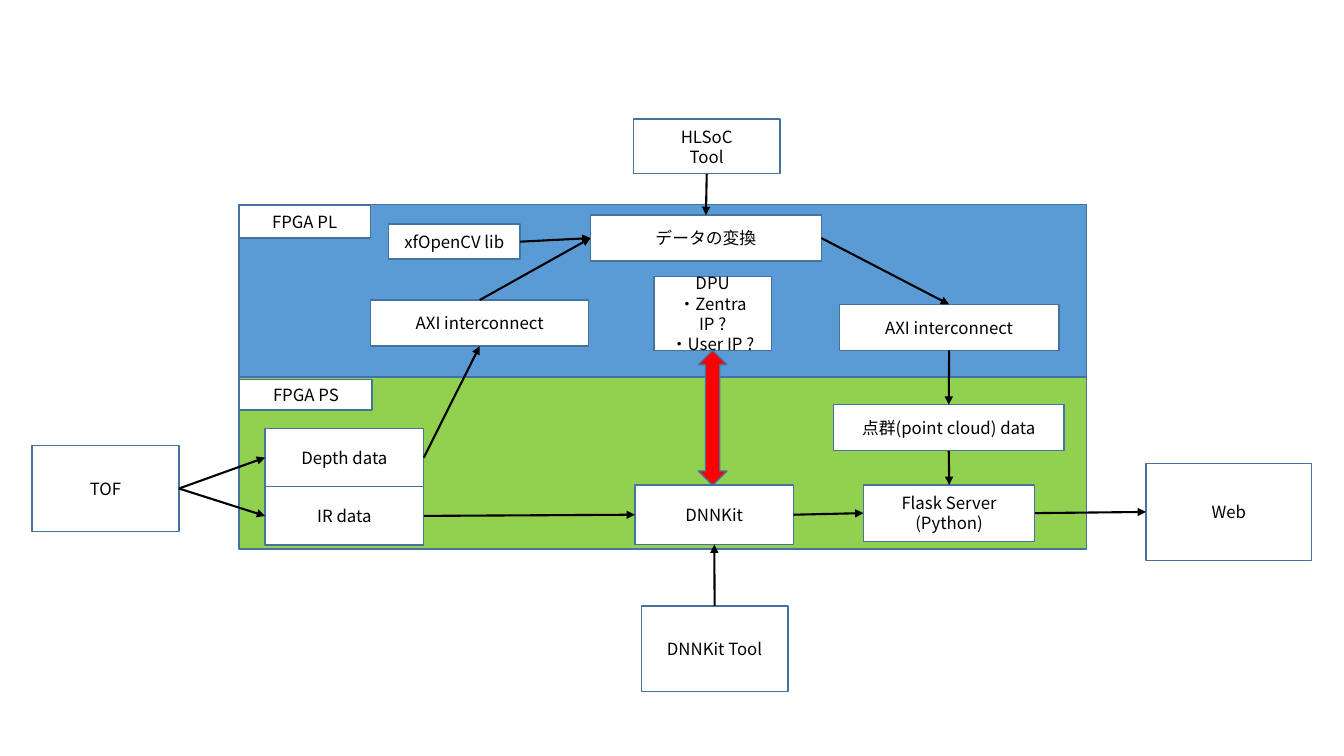
from typing import NamedTuple

from lxml.etree import SubElement
from pptx import Presentation
from pptx.dml.color import RGBColor
from pptx.enum.shapes import MSO_CONNECTOR, MSO_SHAPE
from pptx.enum.text import MSO_ANCHOR, PP_ALIGN
from pptx.oxml.ns import qn
from pptx.shapes.autoshape import Shape
from pptx.slide import Slide
from pptx.util import Cm, Pt

FONT = "Noto Sans CJK JP"
WHITE = RGBColor(0xFF, 0xFF, 0xFF)
BLACK = RGBColor(0x00, 0x00, 0x00)
BLUE = RGBColor(0x5B, 0x9B, 0xD5)
GREEN = RGBColor(0x92, 0xD0, 0x50)
RED = RGBColor(0xFF, 0x00, 0x00)
OUTLINE = RGBColor(0x43, 0x73, 0x9E)

# Connection sites of a rectangle
TOP, LEFT, BOTTOM, RIGHT = range(4)


class Box(NamedTuple):
    """A shape on the slide; lengths in centimetres."""
    left: float
    top: float
    width: float
    height: float
    text: str = ""
    fill: RGBColor = WHITE
    kind: MSO_SHAPE = MSO_SHAPE.RECTANGLE


class Arrow(NamedTuple):
    start: str
    start_site: int
    end: str
    end_site: int


BOXES = {
    "ps": Box(6.02, 9.5, 21.36, 4.34, fill=GREEN),
    "pl": Box(6.02, 5.16, 21.36, 4.34, fill=BLUE),
    "pl_label": Box(6.02, 5.18, 3.32, 0.82, "FPGA PL"),
    "ps_label": Box(6.04, 9.56, 3.34, 0.77, "FPGA PS"),
    "convert": Box(14.88, 5.42, 5.82, 1.16, "データの変換"),
    "opencv": Box(9.79, 5.65, 3.32, 0.88, "xfOpenCV lib"),
    "dpu": Box(16.48, 6.97, 2.96, 1.86, "DPU\n・Zentra IP ?\n・User IP ?"),
    "axi_in": Box(9.34, 7.56, 5.5, 1.16, "AXI interconnect"),
    "axi_out": Box(21.15, 7.67, 5.54, 1.16, "AXI interconnect"),
    "depth": Box(6.68, 10.8, 4, 1.46, "Depth data"),
    "ir": Box(6.68, 12.26, 4, 1.48, "IR data"),
    "cloud": Box(21, 10.2, 5.82, 1.16, "点群(point cloud) data"),
    "dnn": Box(16, 12.22, 4, 1.5, "DNNKit"),
    "flask": Box(21.76, 12.22, 4.32, 1.42, "Flask Server\n(Python)"),
    "tof": Box(0.81, 11.23, 3.7, 2.16, "TOF"),
    "web": Box(28.88, 11.68, 4.18, 2.44, "Web"),
    "soc_tool": Box(15.96, 3, 3.7, 1.38, "HLSoC\nTool"),
    "dnn_tool": Box(16.16, 15.27, 3.7, 2.16, "DNNKit Tool"),
    "dpu_link": Box(17.6, 8.83, 0.72, 3.4, fill=RED,
                    kind=MSO_SHAPE.UP_DOWN_ARROW),
}

ARROWS = [
    Arrow("tof", RIGHT, "depth", LEFT),
    Arrow("tof", RIGHT, "ir", LEFT),
    Arrow("depth", RIGHT, "axi_in", BOTTOM),
    Arrow("axi_in", TOP, "convert", LEFT),
    Arrow("opencv", RIGHT, "convert", LEFT),
    Arrow("soc_tool", BOTTOM, "convert", TOP),
    Arrow("convert", RIGHT, "axi_out", TOP),
    Arrow("axi_out", BOTTOM, "cloud", TOP),
    Arrow("cloud", BOTTOM, "flask", TOP),
    Arrow("ir", RIGHT, "dnn", LEFT),
    Arrow("dnn_tool", TOP, "dnn", BOTTOM),
    Arrow("dnn", RIGHT, "flask", LEFT),
    Arrow("flask", RIGHT, "web", LEFT),
]


def write_text(sp: Shape, text: str) -> None:
    tf = sp.text_frame
    tf.text = text
    tf.word_wrap = True
    tf.vertical_anchor = MSO_ANCHOR.MIDDLE
    tf.margin_top = tf.margin_bottom = Cm(0)
    for p in tf.paragraphs:
        p.alignment = PP_ALIGN.CENTER
        p.font.size = Pt(12)
        p.font.color.rgb = BLACK
        p.font.name = FONT
        props = p._p.get_or_add_pPr().find(qn("a:defRPr"))
        SubElement(props, qn("a:ea")).set("typeface", FONT)


def add_box(s: Slide, box: Box) -> Shape:
    sp = s.shapes.add_shape(box.kind, Cm(box.left), Cm(box.top),
                            Cm(box.width), Cm(box.height))
    sp.shadow.inherit = False
    sp.fill.solid()
    sp.fill.fore_color.rgb = box.fill
    sp.line.color.rgb = OUTLINE
    sp.line.width = Pt(1)
    if box.text:
        write_text(sp, box.text)
    return sp


def add_arrow(s: Slide, arrow: Arrow, shapes: dict[str, Shape]) -> None:
    """Glue an arrow to the sites of two boxes."""
    cn = s.shapes.add_connector(MSO_CONNECTOR.STRAIGHT, 0, 0, 0, 0)
    cn.begin_connect(shapes[arrow.start], arrow.start_site)
    cn.end_connect(shapes[arrow.end], arrow.end_site)
    cn.line.color.rgb = BLACK
    cn.line.width = Pt(1.5)
    SubElement(cn.line._get_or_add_ln(), qn("a:tailEnd")).set("type", "triangle")
    SubElement(cn._element.spPr, qn("a:effectLst"))


def main() -> None:
    prs = Presentation()
    prs.slide_width, prs.slide_height = Cm(33.87), Cm(19.05)
    s = prs.slides.add_slide(prs.slide_layouts[6])
    shapes = {name: add_box(s, box) for name, box in BOXES.items()}
    for arrow in ARROWS:
        add_arrow(s, arrow, shapes)
    prs.save("out.pptx")


if __name__ == "__main__":
    main()
